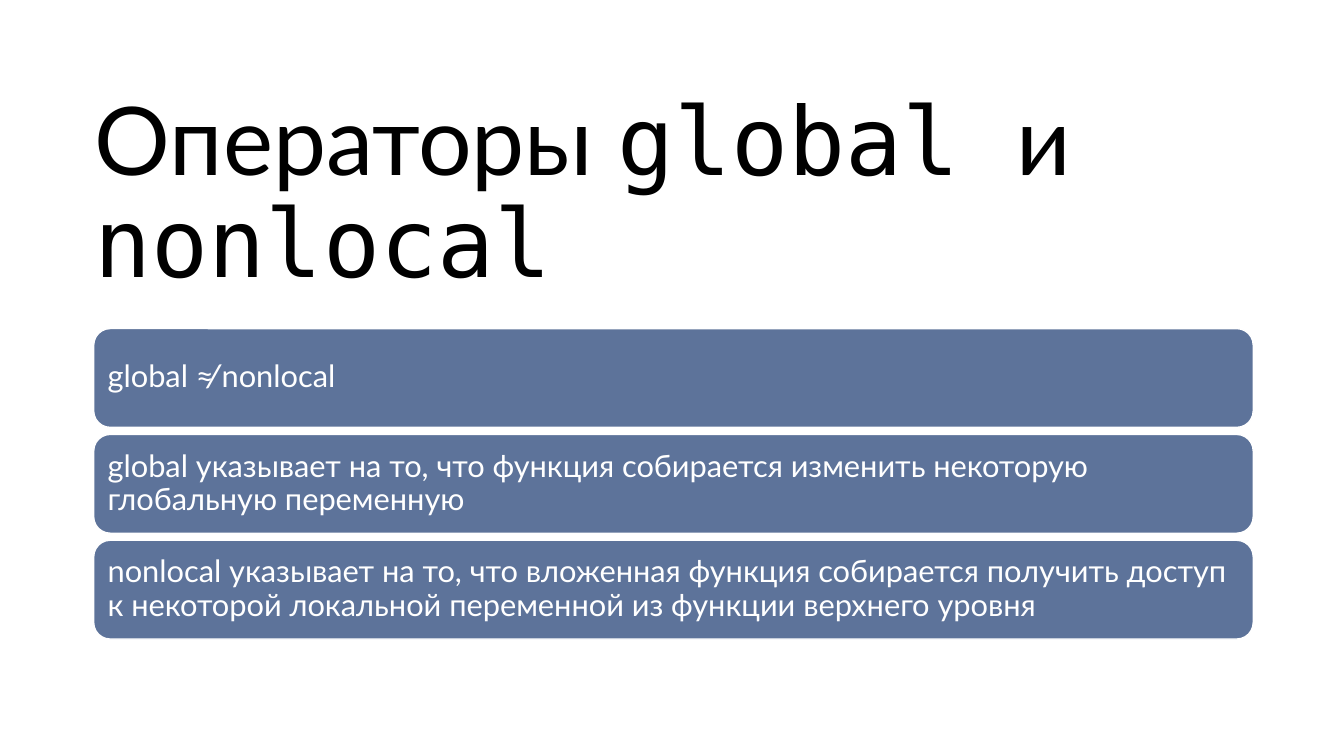
from dataclasses import dataclass

from pptx import Presentation
from pptx.dml.color import RGBColor as RGB
from pptx.enum.shapes import MSO_SHAPE as Preset
from pptx.enum.text import MSO_ANCHOR as Anchor, MSO_AUTO_SIZE as AutoSize, PP_ALIGN as Align
from pptx.util import Inches, Pt


@dataclass(frozen=True)
class Theme:
    """Colours, fonts and type sizes of the slide."""
    ink: RGB = RGB(0x00, 0x00, 0x00)
    paper: RGB = RGB(0xFF, 0xFF, 0xFF)
    card: RGB = RGB(0x5D, 0x73, 0x9A)
    prose: str = "Lato"
    code: str = "DejaVu Sans Mono"
    title_size: float = 67.7
    card_size: float = 22
    line_spacing: float = 0.9


THEME = Theme()
HEADING = [
    ("Операторы ", THEME.prose),
    ("global ", THEME.code),
    ("и ", THEME.prose),
    ("nonlocal", THEME.code),
]
STATEMENTS = [
    "global ≉ nonlocal",
    "global указывает на то, что функция собирается изменить некоторую глобальную переменную",
    "nonlocal указывает на то, что вложенная функция собирается получить доступ "
    "к некоторой локальной переменной из функции верхнего уровня",
]


def apply_format(target, values):
    """Set every attribute named in values on target."""
    for name, value in values.items():
        setattr(target, name, value)


def write_text(frame, runs, size, color, inset):
    """Write one left-aligned, vertically centred paragraph of (text, font) runs."""
    margins = {f"margin_{side}": Inches(inset) for side in ("left", "top", "right", "bottom")}
    apply_format(frame, {"word_wrap": True, "auto_size": AutoSize.NONE,
                         "vertical_anchor": Anchor.MIDDLE, **margins})
    paragraph = frame.paragraphs[0]
    apply_format(paragraph, {"alignment": Align.LEFT, "line_spacing": THEME.line_spacing})
    for wording, family in runs:
        run = paragraph.add_run()
        run.text = wording
        apply_format(run.font, {"name": family, "size": Pt(size)})
        run.font.color.rgb = color


def place_heading(slide, left, top, width, height):
    """Fill the title placeholder and fit it to the given box."""
    heading = slide.shapes.title
    apply_format(heading, {"left": Inches(left), "top": Inches(top),
                           "width": Inches(width), "height": Inches(height)})
    write_text(heading.text_frame, HEADING, THEME.title_size, THEME.ink, 0)


def place_statements(slide, left, top, width, height, gap=0.07):
    """Stack the statement cards evenly within the given box."""
    card_height = (height + gap) / len(STATEMENTS) - gap
    for row, statement in enumerate(STATEMENTS):
        card_top = top + row * (card_height + gap)
        card = slide.shapes.add_shape(Preset.ROUNDED_RECTANGLE, Inches(left), Inches(card_top),
                                      Inches(width), Inches(card_height))
        card.shadow.inherit = False
        card.fill.solid()
        card.fill.fore_color.rgb = THEME.card
        card.line.color.rgb = THEME.paper
        card.line.width = Pt(1)
        write_text(card.text_frame, [(statement, THEME.prose)], THEME.card_size,
                   THEME.paper, 0.09)


def build_deck():
    """Build and save the one-slide deck."""
    deck = Presentation()
    apply_format(deck, {"slide_width": Inches(13.33), "slide_height": Inches(7.5)})
    slide = deck.slides.add_slide(deck.slide_layouts[5])
    slide.background.fill.solid()
    slide.background.fill.fore_color.rgb = THEME.paper
    place_heading(slide, 0.94, 1.22, 11.5, 1.45)
    place_statements(slide, 0.93, 3.26, 11.5, 3.08)
    deck.save("out.pptx")


build_deck()
